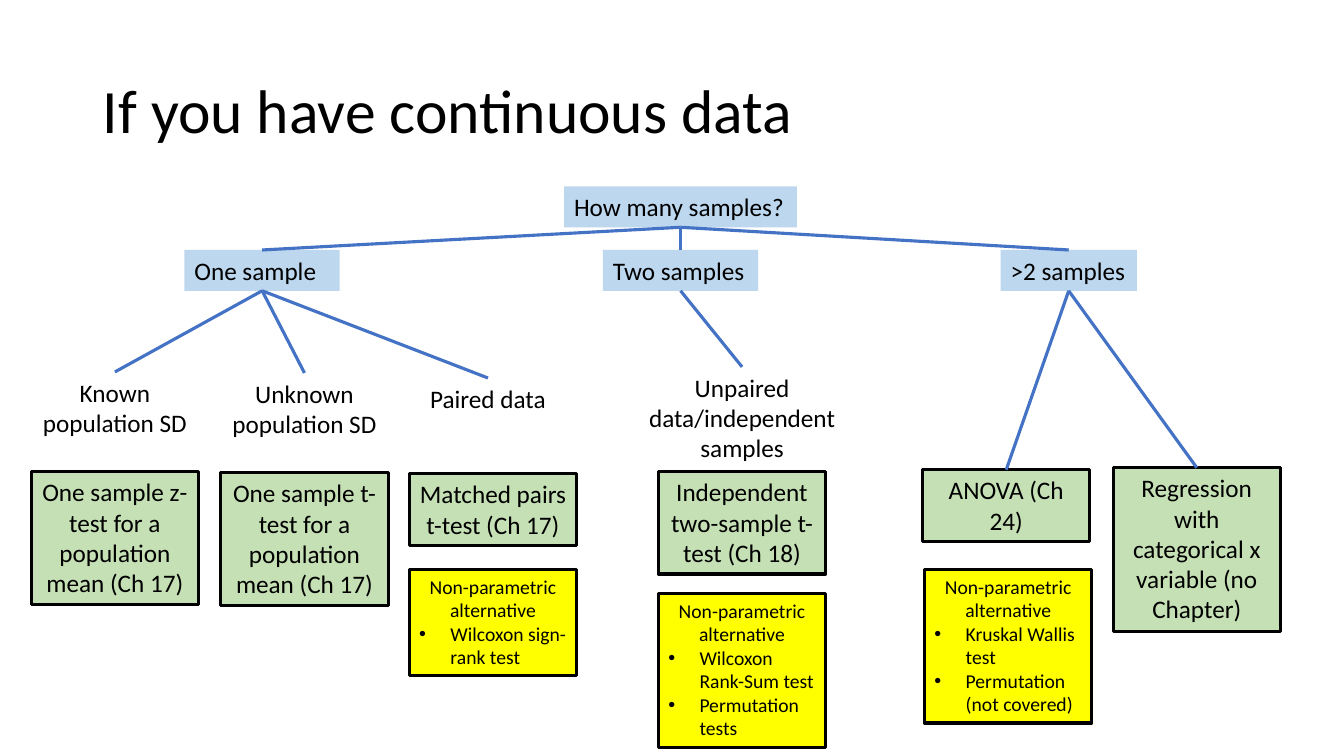
from lxml import etree
from pptx import Presentation
from pptx import util as u
from pptx.dml.color import RGBColor
from pptx.enum import shapes, text
from pptx.oxml import ns

BLACK = RGBColor(0x00, 0x00, 0x00)
BLUE = RGBColor(0xBD, 0xD7, 0xEE)
GREEN = RGBColor(0xC5, 0xE0, 0xB4)
YELLOW = RGBColor(0xFF, 0xFF, 0x00)
LINE_BLUE = RGBColor(0x44, 0x72, 0xC4)
FONT = "Calibri"
LEFT, CENTER = text.PP_ALIGN.LEFT, text.PP_ALIGN.CENTER

# Grid in inches: column centres, row tops, common box width
KNOWN, UNKNOWN, PAIRED, TWO, ANOVA, REGRESSION = 1.14, 3.02, 4.87, 7.36, 9.99, 11.87
ONE_HUB, TWO_HUB, MANY_HUB = 2.6, 6.75, 10.6
QUESTION_ROW, SAMPLE_ROW, CASE_ROW, TEST_ROW, ALTERNATIVE_ROW = 1.85, 2.48, 3.69, 4.68, 5.65
BOX = 1.66
INDENT = 0.31

deck = Presentation()
deck.slide_width, deck.slide_height = u.Inches(13.33), u.Inches(7.5)
page = deck.slides.add_slide(deck.slide_layouts[5])


def add_box(words, center, top, lines, width=BOX, size=18, align=CENTER,
            fill=None, outline=False, bullets=()):
    """Place a box by its centre; its height follows from the line count."""
    height = 0.1 + lines * size * 1.22 / 72
    place = [u.Inches(v) for v in (center - width / 2, top, width, height)]
    if fill is None:
        box = page.shapes.add_textbox(*place)
    else:
        box = page.shapes.add_shape(shapes.MSO_SHAPE.RECTANGLE, *place)
        box.shadow.inherit = False
        box.fill.solid()
        box.fill.fore_color.rgb = fill
        if outline:
            box.line.color.rgb = BLACK
            box.line.width = u.Pt(2.25)
        else:
            box.line.fill.background()
    frame = box.text_frame
    frame.word_wrap = True
    frame.vertical_anchor = text.MSO_ANCHOR.TOP
    for number, line in enumerate((words, *bullets)):
        para = frame.add_paragraph() if number else frame.paragraphs[0]
        para.alignment = LEFT if number else align
        span = para.add_run()
        span.text = line
        span.font.name, span.font.size = FONT, u.Pt(size)
        span.font.color.rgb = BLACK
        if number:
            props = para._p.get_or_add_pPr()
            props.set("marL", str(u.Inches(INDENT)))
            props.set("indent", str(-u.Inches(INDENT)))
            etree.SubElement(props, ns.qn("a:buFont")).set("typeface", "Arial")
            etree.SubElement(props, ns.qn("a:buChar")).set("char", "•")
    return box


# Title
title = page.shapes.title
title.left, title.top = u.Inches(0.92), u.Inches(0.4)
title.width, title.height = u.Inches(11.5), u.Inches(1.45)
title.text_frame.text = "If you have continuous data"
title.text_frame.vertical_anchor = text.MSO_ANCHOR.MIDDLE
para = title.text_frame.paragraphs[0]
para.alignment, para.line_spacing = LEFT, 0.9
para.font.name, para.font.size = FONT, u.Pt(44)
para.font.color.rgb = BLACK

# Question and number of samples
question = add_box("How many samples?", TWO_HUB, QUESTION_ROW, 1, width=2.31, align=LEFT, fill=BLUE)
one, two, many = [
    add_box(words, center, SAMPLE_ROW, 1, width=width, align=LEFT, fill=BLUE)
    for words, center, width in (("One sample", ONE_HUB, 1.54),
                                 ("Two samples", TWO_HUB, 1.54),
                                 (">2 samples", MANY_HUB, 1.35))]

# Kinds of data
known = add_box("Known population SD", KNOWN, CASE_ROW, 2)
unknown = add_box("Unknown population SD", UNKNOWN, CASE_ROW + 0.01, 2)
paired = add_box("Paired data", PAIRED - 0.03, CASE_ROW + 0.06, 1)
unpaired = add_box("Unpaired data/independent samples", TWO, CASE_ROW - 0.05, 3, width=2.31)

# Tests
tests = [add_box(words, center, top, lines, fill=GREEN, outline=True)
         for words, center, top, lines in (
             ("One sample z-test for a population mean (Ch 17)", KNOWN, TEST_ROW, 4),
             ("One sample t-test for a population mean (Ch 17)", UNKNOWN, TEST_ROW + 0.01, 4),
             ("Matched pairs t-test (Ch 17)", PAIRED + 0.02, TEST_ROW + 0.02, 2),
             ("Independent two-sample t-test (Ch 18)", TWO, TEST_ROW, 3),
             ("ANOVA (Ch 24)", ANOVA - 0.01, TEST_ROW - 0.02, 2),
             ("Regression with categorical x variable (no Chapter)", REGRESSION, TEST_ROW - 0.04, 5))]
anova, regression = tests[-2:]

# Non-parametric alternatives
for center, top, lines, bullets in (
        (PAIRED + 0.02, ALTERNATIVE_ROW, 4, ["Wilcoxon sign-rank test"]),
        (TWO, ALTERNATIVE_ROW + 0.24, 6, ["Wilcoxon Rank-Sum test", "Permutation tests"]),
        (ANOVA + 0.01, ALTERNATIVE_ROW, 6, ["Kruskal Wallis test", "Permutation (not covered)"])):
    add_box("Non-parametric alternative", center, top, lines, size=14,
            fill=YELLOW, outline=True, bullets=bullets)

# Branches, from bottom middle to top middle
for parent, children in ((question, (one, two, many)), (one, (known, unknown, paired)),
                         (two, (unpaired,)), (many, (anova, regression))):
    for child in children:
        branch = page.shapes.add_connector(shapes.MSO_CONNECTOR.STRAIGHT, 0, 0, 0, 0)
        branch.begin_connect(parent, 2)
        branch.end_connect(child, 0)
        branch.line.color.rgb = LINE_BLUE
        branch.line.width = u.Pt(2.25)
        etree.SubElement(branch._element.spPr, ns.qn("a:effectLst"))

deck.save("out.pptx")
